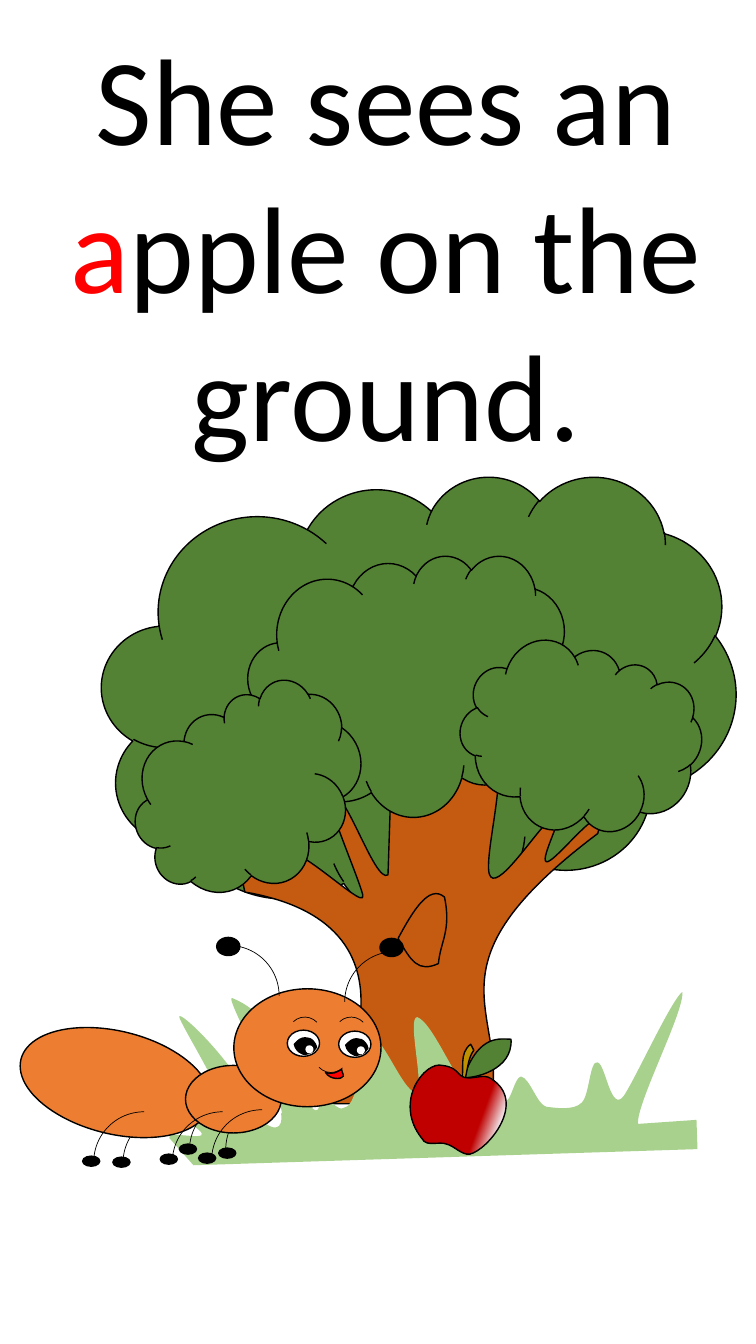
from lxml import etree
from pptx import Presentation
from pptx.dml.color import RGBColor
from pptx.enum.shapes import MSO_SHAPE as SHAPE
from pptx.enum.text import PP_ALIGN as ALIGN
from pptx.oxml.ns import qn
from pptx.util import Pt

# Sentence: text and colour of each run
SENTENCE = [("She sees an ", "000000"), ("a", "FF0000"), ("pple on the ground.", "000000")]

LEAF, WOOD, GRASS, ANT = "548235", "C55A11", "A9D18E", "ED7D31"
BLACK, WHITE, RED = "000000", "FFFFFF", "FF0000"
UNIT = 0.72  # points per step of the drawing grid

# Outlines: a start point, then lines (x, y) or curves (two controls and an end)
TRUNK = [
    (389, 746), (487, 746), (509, 751, 476, 860, 487, 870), (497, 881, 536, 818, 550, 809),
    (564, 801, 535, 852, 542, 855), (550, 858, 607, 781, 593, 827),
    (416, 960, 505, 1001, 487, 1095), (330, 1095), (322, 1101, 441, 919, 243, 885),
    (233, 844, 256, 849, 271, 850), (276, 815, 364, 908, 360, 888),
    (355, 868, 319, 787, 329, 789), (342, 780, 372, 877, 385, 868),
]
LAWN = [
    (168, 1129), (164, 1121, 205, 1132, 200, 1124), (196, 1116, 153, 1096, 149, 1082),
    (145, 1069, 196, 1080, 225, 1113), (233, 1100, 174, 1009, 178, 1008),
    (183, 1006, 241, 1063, 257, 1109), (273, 1125, 281, 1119, 279, 1105),
    (287, 1105, 223, 990, 230, 990), (290, 1014, 286, 1090, 306, 1095),
    (320, 1113, 315, 1088, 321, 1089), (327, 1090, 336, 1103, 341, 1099),
    (349, 1097, 349, 1090, 354, 1081), (359, 1071, 361, 1035, 369, 1028),
    (382, 1033, 399, 1080, 412, 1084), (423, 1084, 403, 1009, 414, 1009),
    (431, 1015, 457, 1086, 474, 1092), (478, 1091, 482, 1074, 486, 1073),
    (493, 1074, 494, 1091, 502, 1092), (507, 1092, 511, 1068, 517, 1068),
    (526, 1070, 533, 1096, 542, 1098), (551, 1099, 569, 1102, 577, 1094),
    (585, 1087, 585, 1051, 593, 1054), (601, 1056, 606, 1105, 619, 1087),
    (631, 1069, 666, 992, 677, 984), (679, 1004, 631, 1095, 633, 1115),
    (691, 1111), (692, 1140), (192, 1156),
]
HOLLOW = [(395, 931), (410, 903, 426, 877, 441, 890), (448, 923, 437, 934, 435, 956),
          (415, 965, 408, 954, 395, 931)]
PUPIL = [(292, 1036), (293, 1039), (295, 1043, 298, 1045, 301, 1046),
         (305, 1046, 308, 1045, 311, 1043), (314, 1039), (313, 1036),
         (311, 1033, 309, 1030, 305, 1030), (302, 1029, 298, 1030, 295, 1033)]
APPLE_LEAF = [(460, 1069), (475, 1025, 497, 1031, 507, 1031), (509, 1062, 470, 1070, 460, 1069)]
STEM = [(467, 1036), (470, 1042), (464, 1050, 464, 1062, 461, 1072), (458, 1072),
        (461, 1060, 455, 1045, 467, 1036)]
APPLE = [(439, 1057), (455, 1059, 453, 1067, 461, 1069), (469, 1071, 480, 1065, 487, 1070),
         (524, 1093, 484, 1141, 466, 1145), (458, 1146, 451, 1137, 443, 1135),
         (436, 1132, 423, 1138, 419, 1130), (389, 1093, 422, 1052, 439, 1057)]
MOUTH = [(323, 1064), (331, 1066, 333, 1064, 339, 1061), (339, 1065, 343, 1067, 339, 1069),
         (339, 1070, 328, 1072, 323, 1064)]

# Preset parts: left, top, width, height, rotation
CROWN = (101, 472, 629, 445, 0)
BOUGHS = [(246, 551, 321, 259, 0), (458, 640, 234, 188, 26.5), (130, 693, 234, 188, 338.5)]
BODY = [(18, 1023, 193, 102, 13.8), (184, 1057, 95, 67, 0), (232, 981, 146, 117, 0)]
FAR_LEGS = [(224, 1090), (188, 1091), (122, 1104)]
NEAR_LEGS = [(93, 1103), (171, 1103), (210, 1101)]
FEET = [(217, 1139), (197, 1144), (178, 1135), (159, 1145), (112, 1148), (82, 1147)]
KNOBS = [(215, 930), (377, 931)]
BROWS = [(286, 1009), (332, 1009)]
EYE_OFFSETS = [(0, 0), (51, 1)]

# Arc start and end, in degrees clockwise from the right
TOP_LEFT, TOP_RIGHT, BOTTOM_LEFT = (180, 270), (270, 360), (90, 180)


def color(value):
    return RGBColor.from_string(value)


def grid(*values):
    return [Pt(v * UNIT) for v in values]


def paint(sp, fill, line, width):
    sp.shadow.inherit = False
    if fill:
        sp.fill.solid()
        sp.fill.fore_color.rgb = color(fill)
    else:
        sp.fill.background()
    if line:
        sp.line.color.rgb = color(line)
        sp.line.width = Pt(width)
    else:
        sp.line.fill.background()
    return sp


def preset(kind, x, y, w, h, rot=0, fill=None, line=BLACK, width=1):
    sp = s.shapes.add_shape(kind, *grid(x, y, w, h))
    sp.rotation = rot
    return paint(sp, fill, line, width)


def arc(x, y, size, sweep, rot=0):
    sp = preset(SHAPE.ARC, x, y, size, size, rot, width=0.5)
    for i, degrees in enumerate(sweep):
        sp.adjustments[i] = degrees % 360 * 0.6


def outline(parts, fill=None, line=BLACK, dx=0, dy=0):
    moved = [grid(*(v + (dy if i % 2 else dx) for i, v in enumerate(part))) for part in parts]
    builder = s.shapes.build_freeform(*moved[0])
    builder.add_line_segments([part[-2:] for part in moved[1:]], close=True)
    sp = builder.convert_to_shape()
    # Bend the segments that have control points
    for segment, part in zip(list(sp._element.iter(qn("a:lnTo"))), moved[1:]):
        if len(part) == 6:
            curve = etree.Element(qn("a:cubicBezTo"))
            for x, y in zip(part[::2], part[1::2]):
                etree.SubElement(curve, qn("a:pt"), x=str(x - sp.left), y=str(y - sp.top))
            segment.getparent().replace(segment, curve)
    return paint(sp, fill, line, 1)


def add_run(p, text, *, size, fill, font="Calibri"):
    r = p.add_run()
    r.text = text
    r.font.name, r.font.size = font, Pt(size)
    r.font.color.rgb = color(fill)


prs = Presentation()
prs.slide_width, prs.slide_height = Pt(540), Pt(960)
s = prs.slides.add_slide(prs.slide_layouts[6])

# Tree and grass
preset(SHAPE.CLOUD, *CROWN, fill=LEAF)
outline(TRUNK, WOOD)
for bough in BOUGHS:
    preset(SHAPE.CLOUD, *bough, fill=LEAF)
outline(LAWN, GRASS, line=None)
outline(HOLLOW)

# Ant: legs, body, feelers and feet
for x, y in FAR_LEGS:
    arc(x, y, 100, TOP_LEFT)
for part in BODY:
    preset(SHAPE.OVAL, *part, fill=ANT)
for x, y in NEAR_LEGS:
    arc(x, y, 100, TOP_LEFT)
arc(177, 938, 100, TOP_RIGHT)
arc(342, 944, 100, TOP_LEFT)
for x, y in KNOBS:
    preset(SHAPE.OVAL, x, y, 23, 18, fill=BLACK)
for x, y in FEET:
    preset(SHAPE.OVAL, x, y, 17, 10, fill=BLACK)

# Ant: face
for x, y in BROWS:
    arc(x, y, 33, TOP_RIGHT, 316.5)
for dx, dy in EYE_OFFSETS:
    preset(SHAPE.OVAL, 285 + dx, 1022 + dy, 32, 26, fill=WHITE)
    outline(PUPIL, BLACK, dx=dx, dy=dy)
    preset(SHAPE.OVAL, 303 + dx, 1037 + dy, 8, 8, fill=WHITE, line=None)
arc(312, 1031, 33, BOTTOM_LEFT, 316.5)

# Apple
outline(APPLE_LEAF, LEAF)
outline(STEM, "BF9000")
fill = outline(APPLE).fill
fill.gradient()
fill.gradient_angle = 160
for stop, position, shade in zip(fill.gradient_stops, (0, 0.23), ("F6F8FC", "C00000")):
    stop.position, stop.color.rgb = position, color(shade)

outline(MOUTH, RED)

# Sentence
tf = s.shapes.add_textbox(Pt(28), Pt(12.5), Pt(495.5), Pt(327)).text_frame
tf.word_wrap = True
p = tf.paragraphs[0]
p.alignment = ALIGN.CENTER
for text, shade in SENTENCE:
    add_run(p, text, size=88, fill=shade)

prs.save("out.pptx")
